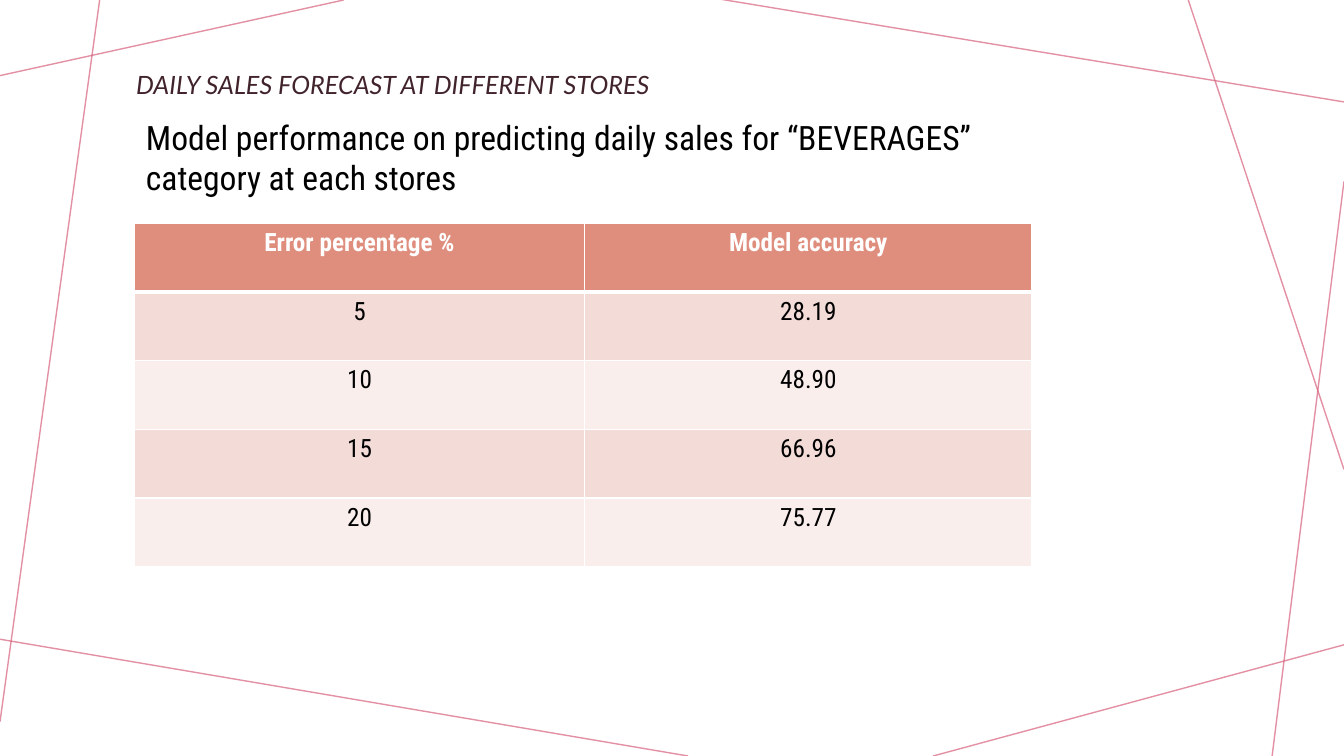
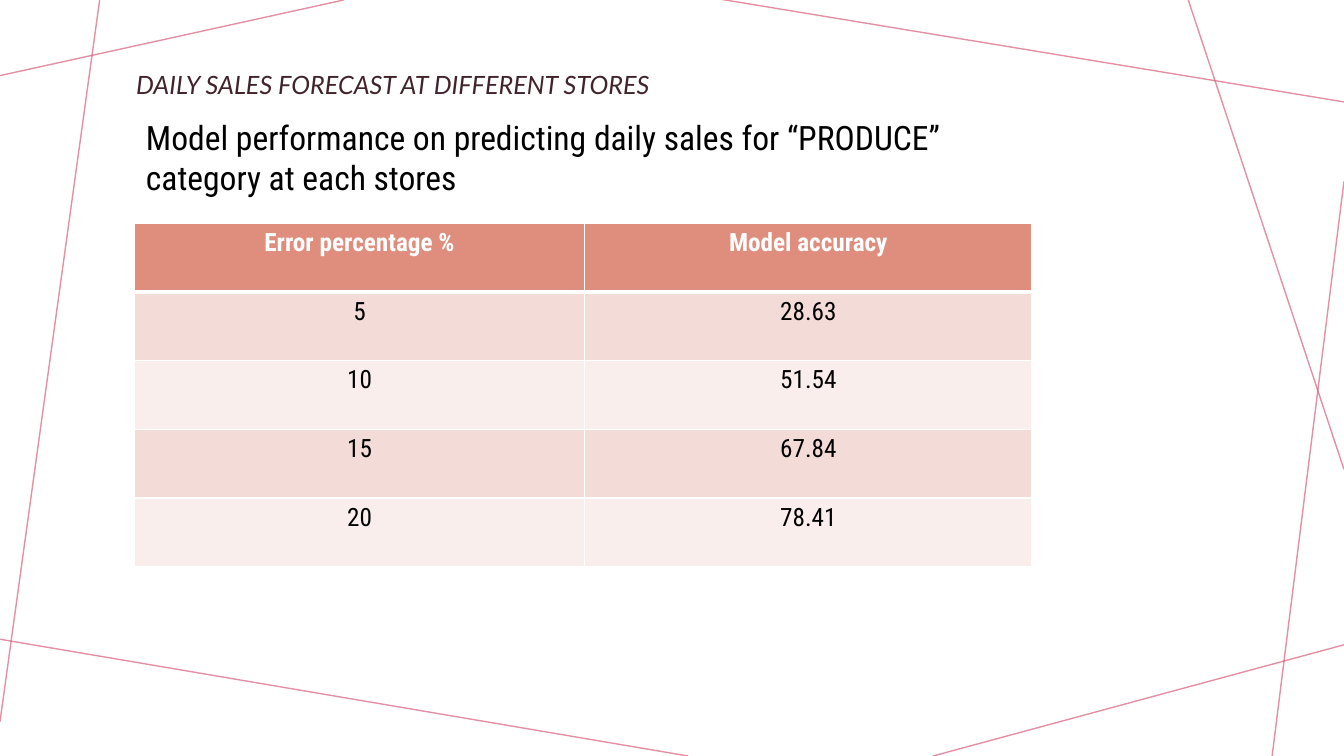
from lxml.etree import SubElement
from pptx import Presentation
from pptx.dml.color import RGBColor
from pptx.enum.shapes import MSO_CONNECTOR
from pptx.enum.text import MSO_ANCHOR, PP_ALIGN
from pptx.oxml import parse_xml
from pptx.oxml.ns import nsdecls, qn
from pptx.util import Pt

# Content
TITLE = "DAILY SALES FORECAST AT DIFFERENT STORES"
SUBTITLE = "Model performance on predicting daily sales for “{}” category at each stores"
HEADER = ("Error percentage %", "Model accuracy")
ERROR_LEVELS = ("5", "10", "15", "20")
CATEGORIES = {
    "BEVERAGES": ("28.19", "48.90", "66.96", "75.77"),
    "PRODUCE": ("28.63", "51.54", "67.84", "78.41"),
}

# Shared style, lengths in points
COLORS = {
    "line": "D8617E",
    "title": "41242B",
    "text": "000000",
    "white": "FFFFFF",
    "header": "DF8E7E",
    "odd_row": "F3DBD8",
    "even_row": "F9EEEC",
}
TITLE_FONT, BODY_FONT = "Lato", "Roboto Condensed"
SLIDE_WIDTH, SLIDE_HEIGHT = 960, 540
TITLE_BOX = (90, 41, 780, 42)
SUBTITLE_BOX = (97.2, 80, 664, 65.5)
TABLE_LEFT, TABLE_TOP = 96, 159.4
COLUMN_WIDTHS = (321.6, 319.6)
ROW_HEIGHT = 49.1
BACKGROUND_LINES = [
    (245.5, 0, 0, 54),
    (71.2, 0, 0, 515.5),
    (491.5, SLIDE_HEIGHT, -3.6, 456),
    (SLIDE_WIDTH, 460.6, 666.5, SLIDE_HEIGHT),
    (SLIDE_WIDTH, 129.6, 908.7, SLIDE_HEIGHT),
    (SLIDE_WIDTH, 335.3, 848.8, 0),
    (SLIDE_WIDTH, 72.8, 514, -0.7),
]


def color(name):
    return RGBColor.from_string(COLORS[name])


def place(shape, box):
    shape.left, shape.top, shape.width, shape.height = map(Pt, box)


def write(text_frame, text, font_name, size, color_name, bold=False, italic=False):
    text_frame.text = text
    paragraph = text_frame.paragraphs[0]
    font = paragraph.runs[0].font
    font.name, font.size = font_name, Pt(size)
    font.bold, font.italic = bold, italic
    font.color.rgb = color(color_name)
    return paragraph


def add_background(layout, slide):
    """Draw the lines, then move them to the layout that all slides share."""
    for number, ends in enumerate(BACKGROUND_LINES, start=101):
        connector = slide.shapes.add_connector(MSO_CONNECTOR.STRAIGHT, *map(Pt, ends))
        connector.name = f"Background line {number - 100}"
        connector.line.width = Pt(1)
        connector.line.color.rgb = color("line")
        element = connector.element
        fill_color = element.find(".//" + qn("a:srgbClr"))
        SubElement(fill_color, qn("a:alpha")).set("val", "70000")
        SubElement(element.spPr, qn("a:effectLst"))
        element.find(".//" + qn("p:cNvPr")).set("id", str(number))
        layout.shapes.element.append(element)


def add_borders(cell, widths):
    properties = cell._tc.get_or_add_tcPr()
    for position, (side, width) in enumerate(widths.items()):
        properties.insert(position, parse_xml(
            f'<a:ln{side} {nsdecls("a")} w="{Pt(width)}"><a:solidFill>'
            f'<a:srgbClr val="{COLORS["white"]}"/></a:solidFill></a:ln{side}>'))


def add_accuracy_table(slide, accuracies):
    rows = [HEADER, *zip(ERROR_LEVELS, accuracies)]
    table = slide.shapes.add_table(
        len(rows), len(HEADER), Pt(TABLE_LEFT), Pt(TABLE_TOP),
        Pt(sum(COLUMN_WIDTHS)), Pt(ROW_HEIGHT * len(rows))).table
    for column, width in zip(table.columns, COLUMN_WIDTHS):
        column.width = Pt(width)
    for row_index, values in enumerate(rows):
        table.rows[row_index].height = Pt(ROW_HEIGHT)
        is_header = row_index == 0
        fill = "header" if is_header else ("even_row", "odd_row")[row_index % 2]
        borders = {"L": 1, "R": 1, "T": 3 if row_index == 1 else 1, "B": 3 if is_header else 1}
        for column_index, value in enumerate(values):
            cell = table.cell(row_index, column_index)
            cell.fill.solid()
            cell.fill.fore_color.rgb = color(fill)
            add_borders(cell, borders)
            paragraph = write(cell.text_frame, value, BODY_FONT, 18,
                              "white" if is_header else "text", bold=is_header)
            paragraph.alignment = PP_ALIGN.CENTER


def add_category_slide(presentation, layout, category, accuracies):
    slide = presentation.slides.add_slide(layout)
    # Title
    title = slide.shapes.title
    place(title, TITLE_BOX)
    title.text_frame.vertical_anchor = MSO_ANCHOR.MIDDLE
    paragraph = write(title.text_frame, TITLE, TITLE_FONT, 18, "title", italic=True)
    paragraph.alignment = PP_ALIGN.LEFT
    paragraph.line_spacing = 0.9
    # Subtitle
    subtitle = slide.shapes.add_textbox(*map(Pt, SUBTITLE_BOX))
    subtitle.text_frame.word_wrap = True
    write(subtitle.text_frame, SUBTITLE.format(category), BODY_FONT, 24, "text")
    # Table
    add_accuracy_table(slide, accuracies)
    return slide


def main():
    presentation = Presentation()
    presentation.slide_width, presentation.slide_height = Pt(SLIDE_WIDTH), Pt(SLIDE_HEIGHT)
    layout = presentation.slide_layouts.get_by_name("Title Only")
    slides = [add_category_slide(presentation, layout, *item) for item in CATEGORIES.items()]
    add_background(layout, slides[0])
    presentation.save("out.pptx")


if __name__ == "__main__":
    main()
